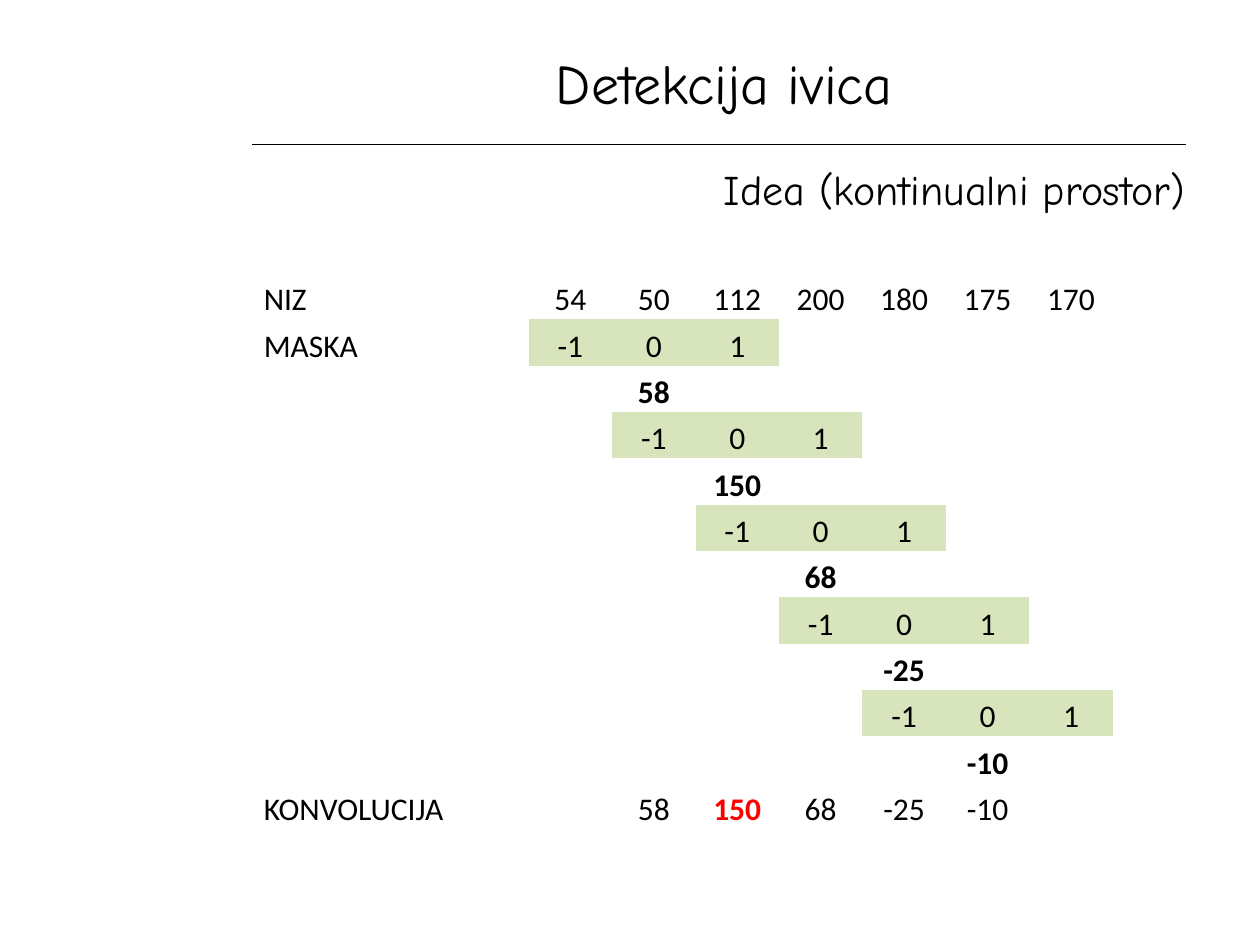
"""Build the edge detection slide with a sliding convolution mask."""
from lxml import etree
from pptx import Presentation
from pptx.dml.color import RGBColor
from pptx.enum import shapes, text
from pptx.oxml import ns
from pptx.util import Pt

BLACK = RGBColor(0x00, 0x00, 0x00)
RED = RGBColor(0xFF, 0x00, 0x00)
GREEN = RGBColor(0xD7, 0xE4, 0xBC)
NO_GRID = "{2D5ABB26-0587-4C30-8999-92F81FD0307C}"

SIGNAL = [54, 50, 112, 200, 180, 175, 170]
MASK = [-1, 0, 1]
ROWS, COLS, FIRST = 12, 9, 2


def style(p, font, size, align):
    p.alignment = align
    for r in p.runs:
        r.font.name = font
        r.font.size = Pt(size)
        r.font.color.rgb = BLACK


def put(row, col, value, align=text.PP_ALIGN.CENTER):
    cell = table.cell(row, col)
    p = cell.text_frame.paragraphs[0]
    p.text = str(value)
    style(p, "Calibri", 18, align)
    return cell


prs = Presentation()
prs.slide_width, prs.slide_height = Pt(720), Pt(540)
s = prs.slides.add_slide(prs.slide_layouts[6])

rule = s.shapes.add_connector(
    shapes.MSO_CONNECTOR.STRAIGHT, Pt(144), Pt(82.5), Pt(677.5), Pt(82.5))
rule.line.color.rgb = BLACK
rule.line.width = Pt(0.75)
etree.SubElement(rule._element.spPr, ns.qn("a:effectLst"))

headings = [
    ("Detekcija ivica", 144, 20, 540, 54, 32,
     text.PP_ALIGN.CENTER, text.MSO_ANCHOR.MIDDLE),
    ("Idea (kontinualni prostor)", 228, 90, 456, 36, 24,
     text.PP_ALIGN.RIGHT, text.MSO_ANCHOR.TOP),
]
for words, x, y, w, h, size, align, anchor in headings:
    sp = s.shapes.add_textbox(Pt(x), Pt(y), Pt(w), Pt(h))
    tf = sp.text_frame
    tf.word_wrap = True
    tf.vertical_anchor = anchor
    tf.text = words
    style(tf.paragraphs[0], "Comic Neue", size, align)

frame = s.shapes.add_table(ROWS, COLS, Pt(150), Pt(156), Pt(486), Pt(318))
table = frame.table
table.first_row = table.horz_banding = False
table._tbl.tblPr.find(ns.qn("a:tableStyleId")).text = NO_GRID
for i, col in enumerate(table.columns):
    col.width = Pt(47.7 if i else 104.4)
for row in table.rows:
    row.height = Pt(26.5)
for cell in table.iter_cells():
    cell.margin_left = cell.margin_right = cell.margin_top = Pt(0.75)
    cell.margin_bottom = 0
    cell.vertical_anchor = text.MSO_ANCHOR.BOTTOM
    cell.fill.background()

table.cell(ROWS - 1, 0).merge(table.cell(ROWS - 1, 1))
for row, label in [(0, "NIZ"), (1, "MASKA"), (ROWS - 1, "KONVOLUCIJA")]:
    put(row, 0, label, text.PP_ALIGN.LEFT)
for i, value in enumerate(SIGNAL):
    put(0, FIRST + i, value)

results = [sum(m * v for m, v in zip(MASK, SIGNAL[i:]))
           for i in range(len(SIGNAL) - len(MASK) + 1)]
for i, result in enumerate(results):
    for j, weight in enumerate(MASK):
        cell = put(1 + 2 * i, FIRST + i + j, weight)
        cell.fill.solid()
        cell.fill.fore_color.rgb = GREEN
    step = put(2 + 2 * i, FIRST + 1 + i, result)
    step.text_frame.paragraphs[0].runs[0].font.bold = True
    total = put(ROWS - 1, FIRST + 1 + i, result)
    if result == max(results):
        r = total.text_frame.paragraphs[0].runs[0]
        r.font.bold = True
        r.font.color.rgb = RED

prs.save("out.pptx")
